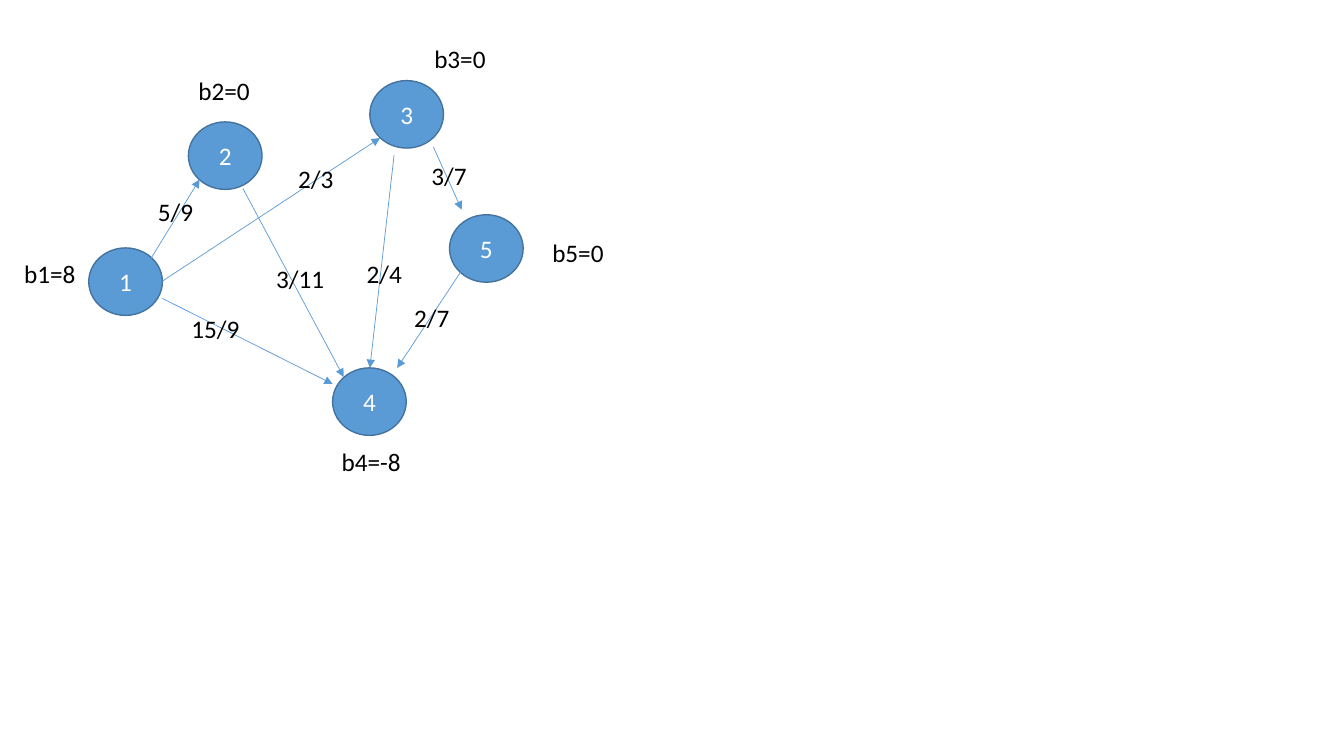
import pptx
import pptx.util
import pptx.dml.color
import pptx.enum.shapes
import pptx.enum.text
import lxml.etree

Pt = pptx.util.Pt
Color = pptx.dml.color.RGBColor.from_string

THEME = {
    "node": Color("5B9BD5"),
    "outline": Color("43739E"),
    "node_font": {"name": "Calibri", "size": Pt(18), "color": Color("FFFFFF")},
    "label_font": {"name": "Calibri", "size": Pt(18), "color": Color("000000")},
}
NODE_WIDTH, NODE_HEIGHT, LABEL_HEIGHT = 52.6, 48.2, 29

# Node number: left, top
nodes = {
    "1": (63.4, 177.1),
    "2": (134.6, 87.1),
    "4": (237.6, 262.8),
    "5": (321.1, 153.4),
    "3": (264.2, 57.6),
}
# Arrow start x, y and end x, y; then label, its left, top and width
arcs = [
    ((108, 184.3, 142.6, 128.2), ("5/9", 105.8, 136.8, 40.3)),
    ((115.9, 200.9, 271.4, 98.6), ("2/3", 205.9, 113, 40.3)),
    ((115.9, 213.1, 237.6, 274.3), ("15/9", 129.6, 220.3, 52.6)),
    ((173.5, 134.6, 245.5, 269.3), ("3/11", 190.1, 184.3, 49)),
    ((281.5, 110.9, 264.2, 262.8), ("2/4", 254.9, 180.7, 40.3)),
    ((309.6, 105.1, 329.8, 149.8), ("3/7", 301, 110.9, 40.3)),
    ((329, 194.4, 283.7, 262.8), ("2/7", 288.7, 212.4, 40.3)),
]
balances = [
    ("b1=8", 10.1, 180.7, 51.8),
    ("b2=0", 134.6, 50.4, 51.8),
    ("b3=0", 303.1, 27.4, 51.8),
    ("b4=-8", 236.9, 315.4, 56.9),
    ("b5=0", 387.4, 166.3, 51.8),
]


def write(para, text, font):
    span = para.add_run()
    span.text = text
    span.font.color.rgb = font["color"]
    for key in ("name", "size"):
        setattr(span.font, key, font[key])


deck = pptx.Presentation()
deck.slide_width, deck.slide_height = Pt(960), Pt(540)
page = deck.slides.add_slide(deck.slide_layouts[6])

# Nodes
for number, (left, top) in nodes.items():
    node = page.shapes.add_shape(
        pptx.enum.shapes.MSO_SHAPE.OVAL,
        Pt(left), Pt(top), Pt(NODE_WIDTH), Pt(NODE_HEIGHT))
    node.shadow.inherit = False
    node.fill.solid()
    node.fill.fore_color.rgb = THEME["node"]
    node.line.color.rgb = THEME["outline"]
    node.line.width = Pt(1)
    node.text_frame.vertical_anchor = pptx.enum.text.MSO_ANCHOR.MIDDLE
    para = node.text_frame.paragraphs[0]
    para.alignment = pptx.enum.text.PP_ALIGN.CENTER
    write(para, number, THEME["node_font"])

# Arrows
for ends, label in arcs:
    arrow = page.shapes.add_connector(
        pptx.enum.shapes.MSO_CONNECTOR.STRAIGHT, *[Pt(value) for value in ends])
    arrow.line.color.rgb = THEME["node"]
    arrow.line.width = Pt(0.5)
    properties = arrow.line._get_or_add_ln()
    namespace = "{%s}" % properties.nsmap["a"]
    lxml.etree.SubElement(properties, namespace + "tailEnd", type="triangle")
    lxml.etree.SubElement(properties.getparent(), namespace + "effectLst")

# Arc labels and node balances
for text, left, top, width in [label for ends, label in arcs] + balances:
    box = page.shapes.add_textbox(Pt(left), Pt(top), Pt(width), Pt(LABEL_HEIGHT))
    frame_format = {
        "word_wrap": False,
        "auto_size": pptx.enum.text.MSO_AUTO_SIZE.SHAPE_TO_FIT_TEXT,
    }
    for key, value in frame_format.items():
        setattr(box.text_frame, key, value)
    write(box.text_frame.paragraphs[0], text, THEME["label_font"])

deck.save("out.pptx")
